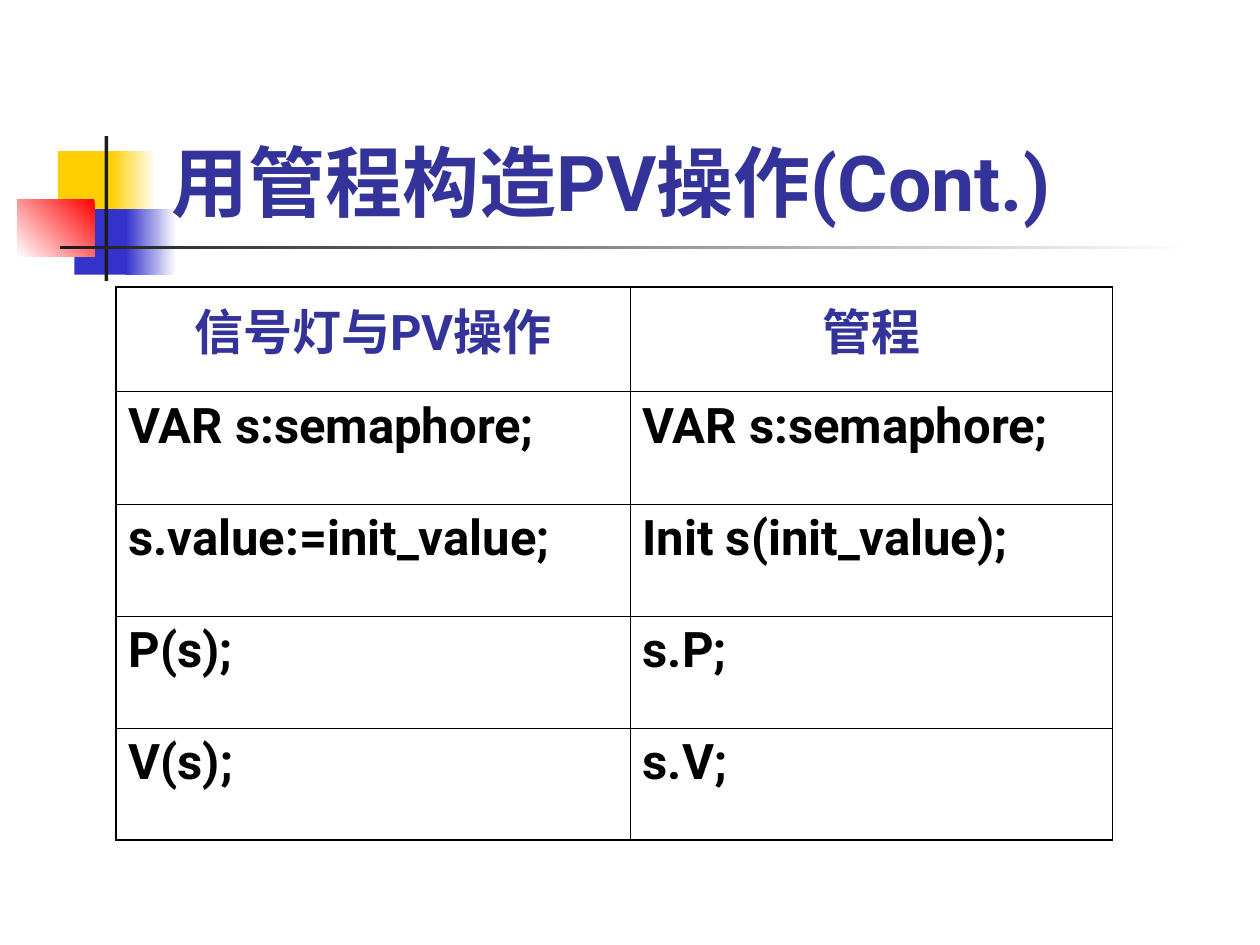
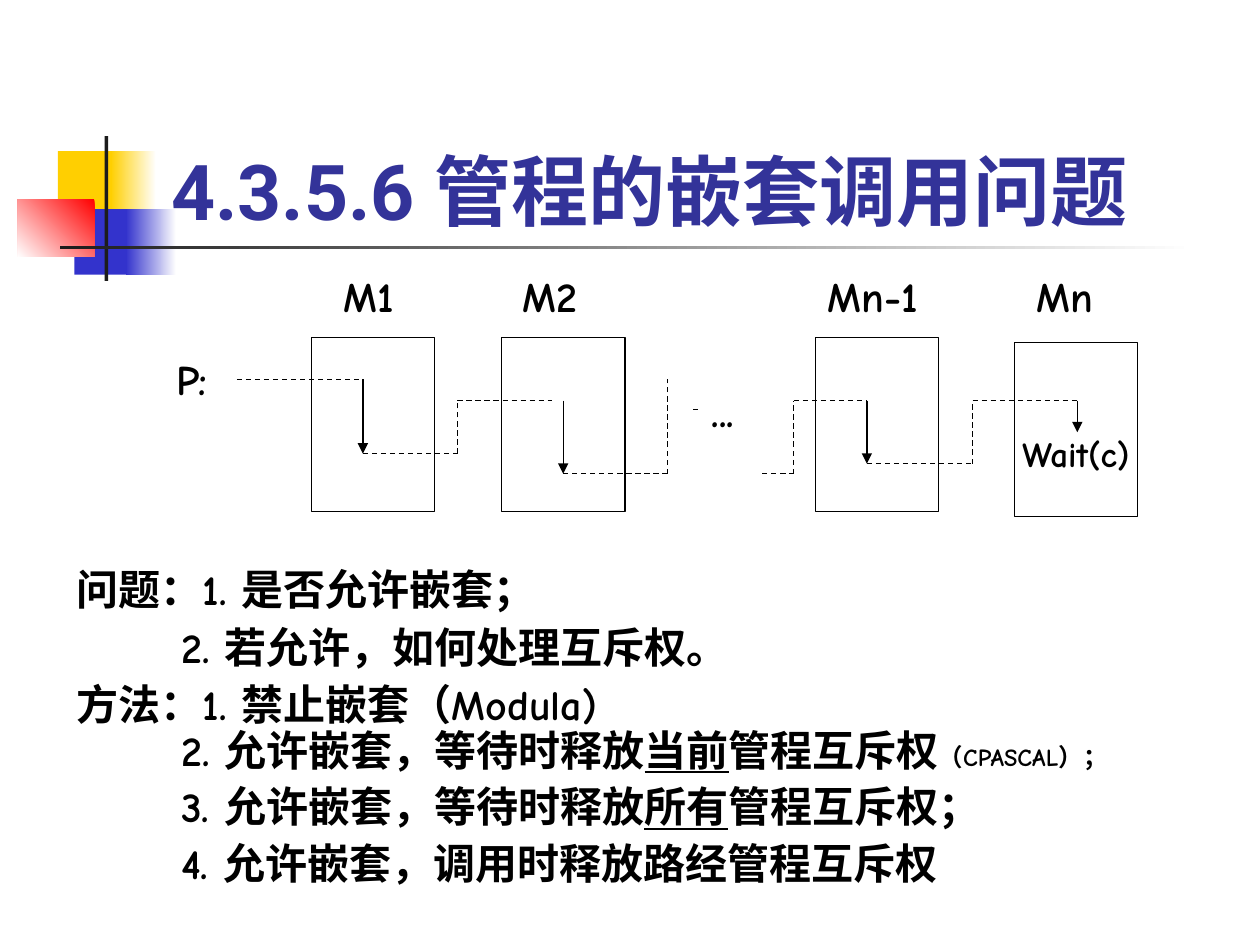
from itertools import pairwise

from lxml.etree import SubElement
from pptx import Presentation
from pptx.dml.color import RGBColor
from pptx.enum.dml import MSO_LINE
from pptx.enum.shapes import MSO_CONNECTOR, MSO_SHAPE
from pptx.enum.text import MSO_ANCHOR as ANCHOR, PP_ALIGN as ALIGN
from pptx.oxml.ns import qn
from pptx.util import Inches, Pt

WHITE, BLACK, INK, NAVY = "FFFFFF", "000000", "1C1C1C", "333399"
YELLOW, BLUE, RED = "FFCF01", "3333CC", "FF0000"
HEAD_FONT, BODY_FONT = "Roboto", "Comic Neue"
THIN, THICK = 0.45, 1.08


def rgb(value):
    """Turn a hex string into a colour."""
    return RGBColor.from_string(value)


def add_text(p, text, font=BODY_FONT, size=24, color=BLACK, underline=None, align=None):
    """Append one bold formatted run to a paragraph."""
    if align is not None:
        p.alignment = align
    r = p.add_run()
    r.text = text
    r.font.name, r.font.size, r.font.bold = font, Pt(size), True
    r.font.color.rgb = rgb(color)
    r.font.underline = underline


def add_box(s, x, y, w, h, fill, end=None, angle=180, line=None):
    """Draw a rectangle with a plain or two-colour fill."""
    sp = s.shapes.add_shape(MSO_SHAPE.RECTANGLE, Inches(x), Inches(y), Inches(w), Inches(h))
    sp.shadow.inherit = False
    if end:
        sp.fill.gradient()
        sp.fill.gradient_angle = angle
        for stop, color, place in zip(sp.fill.gradient_stops, (fill, end), (0, 1)):
            stop.color.rgb, stop.position = rgb(color), place
    else:
        sp.fill.solid()
        sp.fill.fore_color.rgb = rgb(fill)
    if line:
        sp.line.color.rgb, sp.line.width = rgb(line), Pt(0.75)
    else:
        sp.line.fill.background()
    return sp


def add_textbox(s, x, y, w, h, anchor=ANCHOR.TOP):
    """Add a wrapping text box and return its text frame."""
    tf = s.shapes.add_textbox(Inches(x), Inches(y), Inches(w), Inches(h)).text_frame
    tf.word_wrap, tf.vertical_anchor = True, anchor
    return tf


def add_line(s, x1, y1, x2, y2, arrow=False):
    """Draw a dashed line, or a solid arrow."""
    c = s.shapes.add_connector(MSO_CONNECTOR.STRAIGHT, Inches(x1), Inches(y1), Inches(x2), Inches(y2))
    c.line.color.rgb, c.line.width = rgb(BLACK), Pt(0.75)
    if arrow:
        SubElement(c.line._get_or_add_ln(), qn("a:tailEnd"), type="triangle")
    else:
        c.line.dash_style = MSO_LINE.DASH
    SubElement(c._element.spPr, qn("a:effectLst"))


def add_emblem(s, x, y):
    """Draw the coloured squares and crossing bars beside the title."""
    add_box(s, x + 0.32, y + 0.12, 0.48, 0.52, YELLOW)
    add_box(s, x + 0.74, y + 0.12, 0.36, 0.52, WHITE, YELLOW)
    add_box(s, x + 0.45, y + 0.58, 0.46, 0.52, BLUE)
    add_box(s, x + 0.86, y + 0.58, 0.4, 0.52, WHITE, BLUE)
    add_box(s, x, y + 0.5, 0.61, 0.46, RED, WHITE, angle=225)
    add_box(s, x + 0.69, y, 0.03, 1.15, INK)
    add_box(s, x + 0.34, y + 0.87, 9, 0.03, WHITE, INK)


def add_slide(prs, title, bottom):
    """Add a slide with the emblem and a title resting on the given bottom."""
    s = prs.slides.add_slide(prs.slide_layouts[6])
    add_emblem(s, 0.14, 1.08)
    tf = add_textbox(s, 1.26, bottom - 1.2, 8.52, 1.2, ANCHOR.BOTTOM)
    add_text(tf.paragraphs[0], title, HEAD_FONT, 44, NAVY)
    return s


def set_borders(cell, **widths):
    """Set black cell borders, with widths in points by side."""
    tc_pr = cell._tc.get_or_add_tcPr()
    for i, side in enumerate("LRTB"):
        ln = tc_pr.makeelement(qn(f"a:ln{side}"), {"w": str(Pt(widths[side]))})
        SubElement(SubElement(ln, qn("a:solidFill")), qn("a:srgbClr"), val=BLACK)
        tc_pr.insert(i, ln)


def add_comparison(s, x, y, widths, heights, rows):
    """Add the table that sets semaphores beside monitors."""
    table = s.shapes.add_table(len(rows), len(widths), Inches(x), Inches(y),
                               Inches(sum(widths)), Inches(sum(heights))).table
    table.first_row = table.horz_banding = False
    for col, width in zip(table.columns, widths):
        col.width = Inches(width)
    last_row, last_col = len(rows) - 1, len(widths) - 1
    for i, row in enumerate(rows):
        table.rows[i].height = Inches(heights[i])
        for j, text in enumerate(row):
            cell = table.cell(i, j)
            cell.fill.background()
            set_borders(cell, L=THIN if j else THICK, T=THIN if i else THICK,
                        R=THICK if j == last_col else THIN,
                        B=THICK if i == last_row else THIN)
            add_text(cell.text_frame.paragraphs[0], text, HEAD_FONT, 28,
                     BLACK if i else NAVY, align=ALIGN.LEFT if i else ALIGN.CENTER)


def add_call_chain(s, x, y):
    """Draw nested calls passing through the monitors; downward steps are arrows."""
    add_line(s, x + 4.2, y + 1.15, x + 4.53, y + 1.15)
    for left, top in ((1.17, 0.58), (2.68, 0.58), (5.17, 0.58), (6.75, 0.62)):
        monitor = add_box(s, x + left, y + top, 0.98, 1.38, WHITE, line=BLACK)
    tf = monitor.text_frame
    tf.word_wrap, tf.margin_top = False, Inches(0.43)
    add_text(tf.paragraphs[0], "Wait(c)", size=20, align=ALIGN.CENTER)

    routes = (
        ((0.58, 0.91), (1.58, 0.91), (1.58, 1.5), (2.33, 1.5), (2.33, 1.08), (3.08, 1.08)),
        ((3.17, 1.08), (3.17, 1.66), (4, 1.66), (4, 0.91)),
        ((4.75, 1.66), (5, 1.66), (5, 1.08), (5.58, 1.08), (5.58, 1.58),
         (6.42, 1.58), (6.42, 1.08), (7.25, 1.08), (7.25, 1.33)),
    )
    for route in routes:
        for (x1, y1), (x2, y2) in pairwise(route):
            add_line(s, x + x1, y + y1, x + x2, y + y2, arrow=y2 > y1)

    labels = (("P:", 0, 0.66, 0.5), ("M1", 1.33, 0, 0.71), ("M2", 2.75, 0, 0.75),
              ("Mn", 6.83, 0, 0.83), ("Mn-1", 5.17, 0, 1.08), ("...", 4.25, 0.91, 0.58))
    for text, left, top, width in labels:
        tf = add_box(s, x + left, y + top, width, 0.5, WHITE).text_frame
        tf.vertical_anchor = ANCHOR.TOP
        add_text(tf.paragraphs[0], text, align=ALIGN.LEFT)


def add_questions(s, x, y, w, h):
    """List the questions and methods, with later numbers indented."""
    lines = (
        (0, 0, ["问题：1. 是否允许嵌套；"]),
        (0.83, 15, ["2. 若允许，如何处理互斥权。"]),
        (0, 15, ["方法：1. 禁止嵌套（Modula)"]),
        (0.83, 8.8, ["2. 允许嵌套，等待时释放", "当前", "管程互斥权", "（CPASCAL）；"]),
        (0.83, 15, ["3. 允许嵌套，等待时释放", "所有", "管程互斥权；"]),
        (0.83, 15, ["4. 允许嵌套，调用时释放路经管程互斥权"]),
    )
    tf = add_textbox(s, x, y, w, h)
    for i, (indent, before, runs) in enumerate(lines):
        p = tf.add_paragraph() if i else tf.paragraphs[0]
        p._p.get_or_add_pPr().set("marL", str(Inches(indent)))
        p.space_before = Pt(before)
        if i:
            p.line_spacing = 0.6
        for j, text in enumerate(runs):
            add_text(p, text, size=14 if j == 3 else 24, underline=j == 1)


def main():
    """Build both slides and save them."""
    prs = Presentation()
    prs.slide_width, prs.slide_height = Inches(10), Inches(7.5)

    s = add_slide(prs, "用管程构造PV操作(Cont.)", 1.85)
    add_comparison(s, 0.92, 2.28, (4.08, 3.83), [0.83] + [0.89] * 4, (
        ("信号灯与PV操作", "管程"),
        ("VAR s:semaphore;", "VAR s:semaphore;"),
        ("s.value:=init_value;", "Init s(init_value);"),
        ("P(s);", "s.P;"),
        ("V(s);", "s.V;"),
    ))

    s = add_slide(prs, "4.3.5.6 管程的嵌套调用问题", 1.92)
    add_call_chain(s, 1.3, 2.1)
    add_questions(s, 0.51, 4.42, 8.99, 2.66)
    prs.save("out.pptx")


if __name__ == "__main__":
    main()
